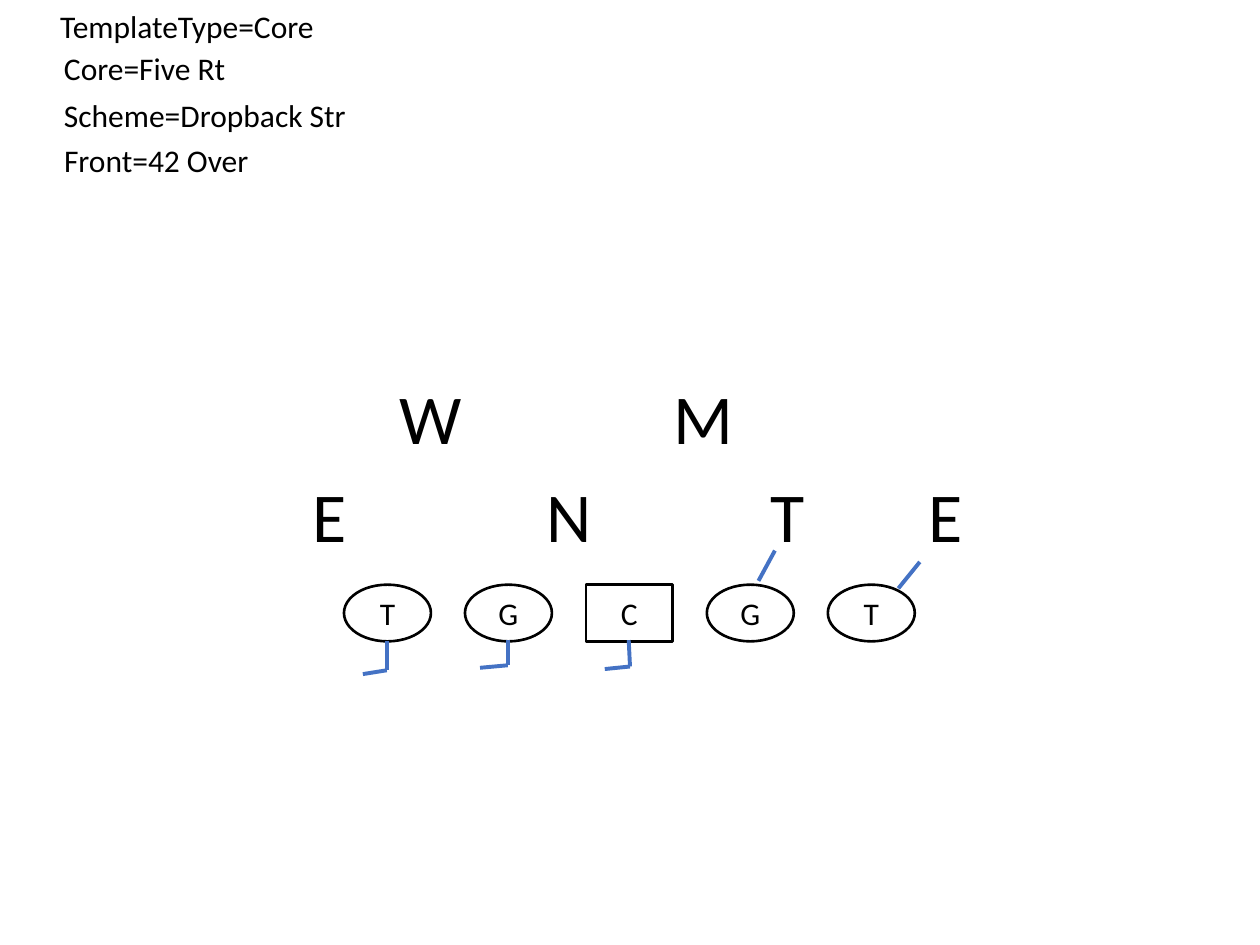
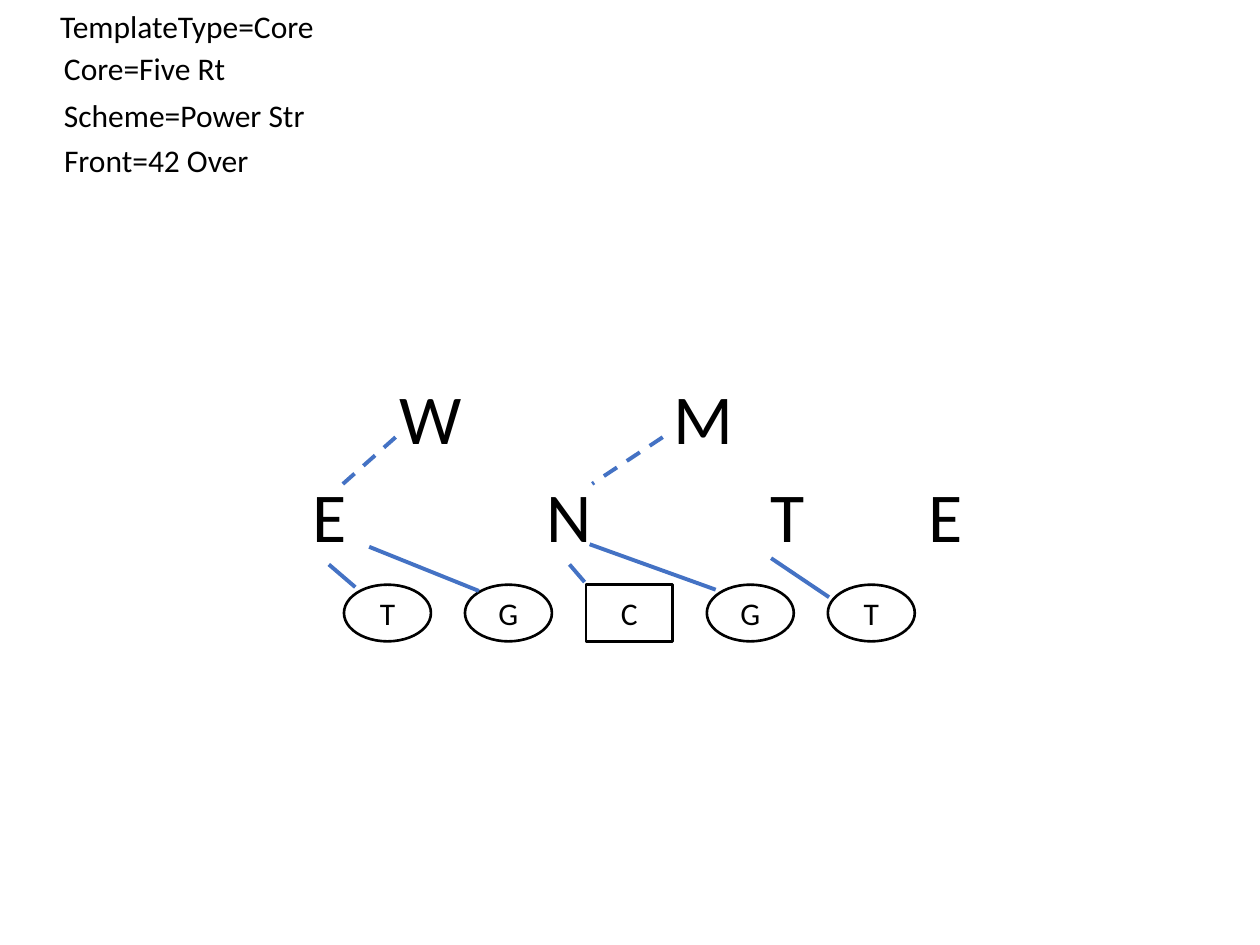
from lxml import etree
from pptx import Presentation
from pptx.dml.color import RGBColor
from pptx.enum.dml import MSO_LINE
from pptx.enum.shapes import MSO_CONNECTOR, MSO_SHAPE
from pptx.enum.text import MSO_ANCHOR, MSO_AUTO_SIZE, PP_ALIGN
from pptx.oxml.ns import qn
from pptx.util import Inches, Pt

OVAL = MSO_SHAPE.OVAL
RECT = MSO_SHAPE.RECTANGLE
STRAIGHT = MSO_CONNECTOR.STRAIGHT
DASH = MSO_LINE.DASH
MIDDLE = MSO_ANCHOR.MIDDLE
CENTER = PP_ALIGN.CENTER
GROW = MSO_AUTO_SIZE.SHAPE_TO_FIT_TEXT

FONT = "Calibri"
BLACK = "000000"
WHITE = "FFFFFF"
BLUE = "4472C4"

LINE_LEFT = 2.73
LINE_TOP = 4.64
PITCH = 0.96
LINEMEN = [("T", OVAL), ("G", OVAL), ("C", RECT), ("G", OVAL), ("T", OVAL)]

FRONT_TOP = 3.7
BACKER_TOP = 2.92
DEFENSE = [
    ("E", 2.38, FRONT_TOP, 0.48),
    ("N", 4.24, FRONT_TOP, 0.56),
    ("T", 6.02, FRONT_TOP, 0.48),
    ("E", 7.27, FRONT_TOP, 0.48),
    ("W", 3.07, BACKER_TOP, 0.7),
    ("M", 5.25, BACKER_TOP, 0.7),
]

DROPBACK = [
    [(7.3, 4.46), (7.13, 4.67)],
    [(6.15, 4.37), (6.02, 4.61)],
    [(4.99, 5.08), (5, 5.29), (4.8, 5.31)],
    [(4.03, 5.08), (4.03, 5.28), (3.81, 5.3)],
    [(3.07, 5.09), (3.07, 5.32), (2.88, 5.35)],
]
POWER = [
    [(2.61, 4.48), (2.82, 4.66)],
    [(2.93, 4.34), (3.8, 4.69)],
    [(4.52, 4.48), (4.64, 4.62)],
    [(4.68, 4.32), (5.68, 4.68)],
    [(6.12, 4.43), (6.58, 4.74)],
]
CLIMBS = [
    [(3.14, 3.47), (2.7, 3.86)],
    [(5.26, 3.47), (4.7, 3.84)],
]
PLAYS = [
    ("Dropback Str", 2.46, DROPBACK, []),
    ("Power Str", 2.13, POWER, CLIMBS),
]


def color(code):
    return RGBColor.from_string(code)


def add_run(frame, text, size):
    run = frame.paragraphs[0].add_run()
    run.text = text
    run.font.name = FONT
    run.font.size = Pt(size)
    run.font.color.rgb = color(BLACK)


def add_label(slide, text, left, top, width, height, size):
    box = slide.shapes.add_textbox(
        Inches(left), Inches(top), Inches(width), Inches(height))
    frame = box.text_frame
    frame.word_wrap = False
    frame.auto_size = GROW
    add_run(frame, text, size)


def add_player(slide, text, form, left):
    shape = slide.shapes.add_shape(
        form, Inches(left), Inches(LINE_TOP), Inches(0.69), Inches(0.45))
    shape.shadow.inherit = False
    shape.fill.solid()
    shape.fill.fore_color.rgb = color(WHITE)
    shape.line.color.rgb = color(BLACK)
    shape.line.width = Pt(1.5)
    frame = shape.text_frame
    frame.vertical_anchor = MIDDLE
    frame.paragraphs[0].alignment = CENTER
    add_run(frame, text, 18)


def add_route(slide, points, dash=None):
    for start, end in zip(points, points[1:]):
        line = slide.shapes.add_connector(
            STRAIGHT, *(Inches(value) for value in start + end))
        line.line.color.rgb = color(BLUE)
        line.line.width = Pt(2.25)
        if dash:
            line.line.dash_style = dash
        etree.SubElement(line._element.spPr, qn("a:effectLst"))


def add_header(slide, scheme, width):
    rows = [
        ("TemplateType=Core", 0.38, 0.01, 2.24),
        ("Core=Five Rt", 0.41, 0.34, 1.5),
        ("Scheme=" + scheme, 0.41, 0.71, width),
        ("Front=42 Over", 0.41, 1.07, 1.68),
    ]
    for text, left, top, wide in rows:
        add_label(slide, text, left, top, wide, 0.4, 18)


def add_teams(slide):
    for spot, (text, form) in enumerate(LINEMEN):
        add_player(slide, text, form, LINE_LEFT + spot * PITCH)
    for text, left, top, width in DEFENSE:
        add_label(slide, text, left, top, width, 0.77, 40)


def main():
    deck = Presentation()
    deck.slide_width = Inches(10)
    deck.slide_height = Inches(7.5)
    blank = deck.slide_layouts[6]
    for scheme, width, blocks, climbs in PLAYS:
        slide = deck.slides.add_slide(blank)
        add_header(slide, scheme, width)
        add_teams(slide)
        for points in blocks:
            add_route(slide, points)
        for points in climbs:
            add_route(slide, points, DASH)
    deck.save("out.pptx")


main()
